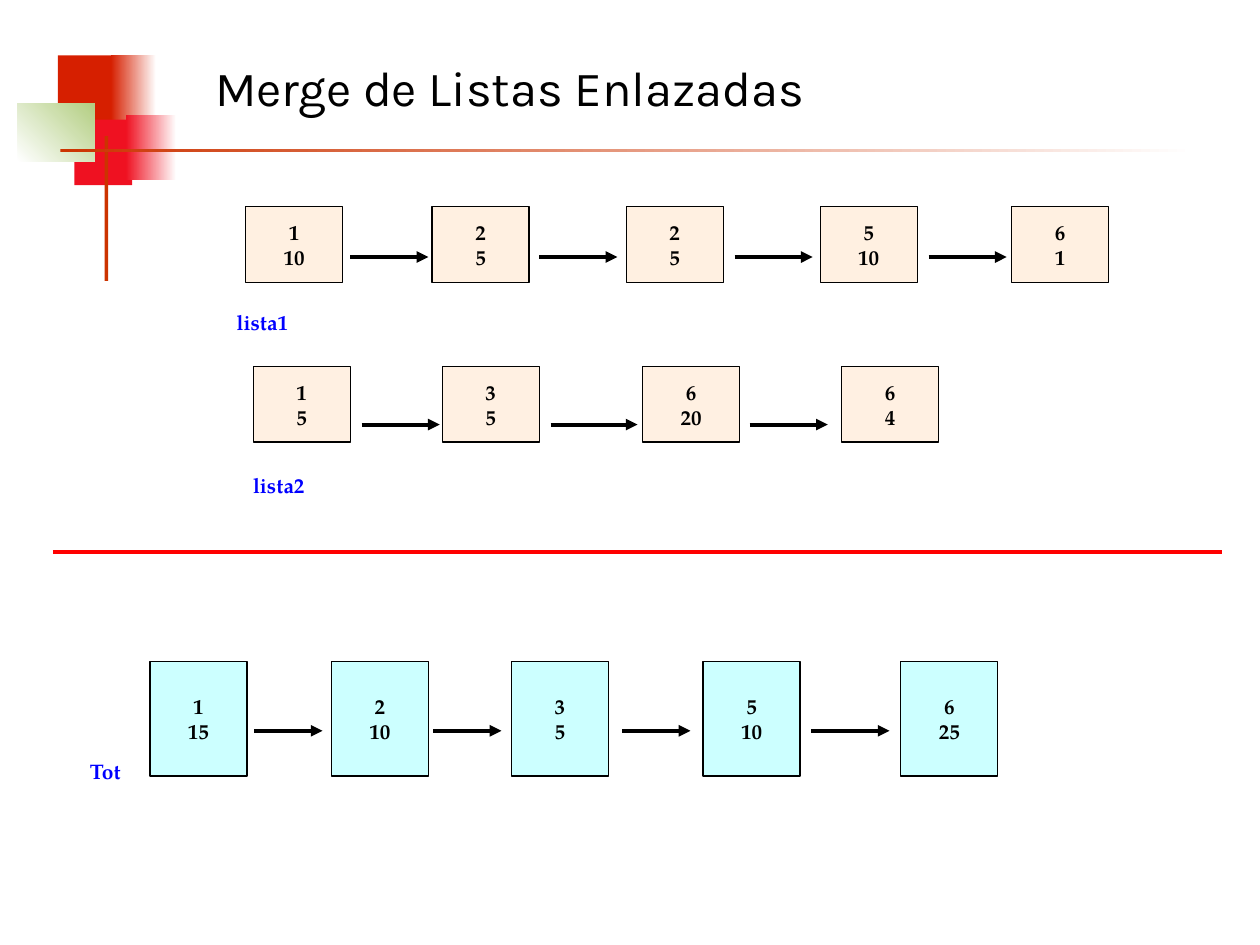
from dataclasses import dataclass

from pptx import Presentation, util as u
from pptx.dml.color import RGBColor
from pptx.enum import shapes, text
from pptx.oxml.ns import qn
from lxml import etree

SERIF = "TeX Gyre Pagella"
BLACK, BLUE, RED, WHITE = "000000", "0000FF", "FF0000", "FFFFFF"
SCARLET, CRIMSON, GREEN, RUST = "D61F00", "EF1121", "B3CE82", "CC3300"
CREAM, CYAN = "FFF0E1", "CCFFFF"
NODE_WIDTH = 0.77


@dataclass
class Block:
    left: float
    top: float
    width: float
    height: float
    colors: tuple[str, ...]
    angle: float = 0


@dataclass
class Node:
    left: float
    key: int
    value: int


@dataclass
class Arrow:
    start: float
    end: float


@dataclass
class LinkedList:
    top: float
    height: float
    fill: str
    arrow_y: float
    nodes: list[Node]
    arrows: list[Arrow]
    opacity: int = 100


@dataclass
class Label:
    words: str
    left: float
    top: float
    width: float
    height: float
    size: int = 12
    font: str = SERIF
    color: str = BLUE
    bold: bool = True
    anchor: text.MSO_ANCHOR = text.MSO_ANCHOR.TOP
    align: text.PP_ALIGN = text.PP_ALIGN.LEFT
    wrap: bool = True


BLOCKS = [
    Block(0.46, 0.44, 0.48, 0.52, (SCARLET,)),
    Block(0.88, 0.44, 0.36, 0.52, (SCARLET, WHITE)),
    Block(0.59, 0.95, 0.46, 0.52, (CRIMSON,)),
    Block(1, 0.91, 0.4, 0.52, (CRIMSON, WHITE)),
    Block(0.14, 0.82, 0.61, 0.46, (WHITE, GREEN), 45),
    Block(0.83, 1.08, 0.03, 1.15, (RUST,)),
    Block(0.48, 1.18, 9, 0.03, (RUST, WHITE)),
]

LISTS = [
    LinkedList(
        1.64, 0.6, CREAM, 2.04,
        [Node(1.95, 1, 10), Node(3.43, 2, 5), Node(4.97, 2, 5), Node(6.51, 5, 10), Node(8.03, 6, 1)],
        [Arrow(2.78, 3.4), Arrow(4.28, 4.9), Arrow(5.83, 6.45), Arrow(7.37, 7.99)],
    ),
    LinkedList(
        2.91, 0.6, CREAM, 3.37,
        [Node(2.01, 1, 5), Node(3.51, 3, 5), Node(5.1, 6, 20), Node(6.68, 6, 4)],
        [Arrow(2.87, 3.49), Arrow(4.37, 5.06), Arrow(5.95, 6.57)],
        opacity=95,
    ),
    LinkedList(
        5.25, 0.91, CYAN, 5.8,
        [Node(1.19, 1, 15), Node(2.63, 2, 10), Node(4.06, 3, 5), Node(5.58, 5, 10), Node(7.15, 6, 25)],
        [Arrow(2.02, 2.56), Arrow(3.44, 3.98), Arrow(4.94, 5.48), Arrow(6.44, 7.06)],
    ),
]

LABELS = [
    Label("Merge de Listas Enlazadas", 1.61, 0.52, 7.87, 0.34, 28, "Karla", BLACK, False,
          text.MSO_ANCHOR.MIDDLE),
    Label("lista1", 1.78, 2.41, 1.08, 0.3),
    Label("lista2", 1.91, 3.7, 1.08, 0.3),
    Label("Tot", 0.6, 5.82, 0.47, 0.6, anchor=text.MSO_ANCHOR.MIDDLE,
          align=text.PP_ALIGN.CENTER, wrap=False),
]


def rgb(code: str) -> RGBColor:
    return RGBColor.from_string(code)


def write(box, words: str, size: int, font: str, color: str, bold: bool, anchor, align, wrap: bool) -> None:
    frame = box.text_frame
    frame.text = words
    frame.word_wrap = wrap
    frame.vertical_anchor = anchor
    for para in frame.paragraphs:
        para.alignment = align
        for span in para.runs:
            span.font.size = u.Pt(size)
            span.font.name = font
            span.font.bold = bold
            span.font.color.rgb = rgb(color)


def add_rectangle(page, left: float, top: float, width: float, height: float):
    box = page.shapes.add_shape(
        shapes.MSO_SHAPE.RECTANGLE, u.Inches(left), u.Inches(top), u.Inches(width), u.Inches(height)
    )
    box.shadow.inherit = False
    return box


def add_block(page, block: Block) -> None:
    box = add_rectangle(page, block.left, block.top, block.width, block.height)
    box.line.fill.background()
    if len(block.colors) == 1:
        box.fill.solid()
        box.fill.fore_color.rgb = rgb(block.colors[0])
        return
    box.fill.gradient()
    box.fill.gradient_angle = block.angle
    for position, (stop, color) in enumerate(zip(box.fill.gradient_stops, block.colors)):
        stop.position = position
        stop.color.rgb = rgb(color)


def add_label(page, label: Label) -> None:
    box = page.shapes.add_textbox(
        u.Inches(label.left), u.Inches(label.top), u.Inches(label.width), u.Inches(label.height)
    )
    write(box, label.words, label.size, label.font, label.color, label.bold,
          label.anchor, label.align, label.wrap)


def add_node(page, node: Node, chain: LinkedList) -> None:
    box = add_rectangle(page, node.left, chain.top, NODE_WIDTH, chain.height)
    box.fill.solid()
    box.fill.fore_color.rgb = rgb(chain.fill)
    if chain.opacity < 100:
        color = box.element.spPr.find(qn("a:solidFill")).find(qn("a:srgbClr"))
        etree.SubElement(color, qn("a:alpha"), val=str(chain.opacity * 1000))
    box.line.color.rgb = rgb(BLACK)
    box.line.width = u.Pt(0.75)
    write(box, f"{node.key}\n{node.value}", 12, SERIF, BLACK, True,
          text.MSO_ANCHOR.MIDDLE, text.PP_ALIGN.CENTER, False)


def add_line(page, start: float, end: float, y: float, color: str, arrow: bool = False) -> None:
    line = page.shapes.add_connector(
        shapes.MSO_CONNECTOR.STRAIGHT, u.Inches(start), u.Inches(y), u.Inches(end), u.Inches(y)
    )
    line.line.color.rgb = rgb(color)
    line.line.width = u.Pt(2.25)
    properties = line.element.spPr
    if arrow:
        etree.SubElement(properties.find(qn("a:ln")), qn("a:tailEnd"), type="triangle")
    etree.SubElement(properties, qn("a:effectLst"))


def add_list(page, chain: LinkedList) -> None:
    for node in chain.nodes:
        add_node(page, node, chain)
    for arrow in chain.arrows:
        add_line(page, arrow.start, arrow.end, chain.arrow_y, BLACK, arrow=True)


def main() -> None:
    deck = Presentation()
    deck.slide_width, deck.slide_height = u.Inches(10), u.Inches(7.5)
    page = deck.slides.add_slide(deck.slide_layouts[6])
    for block in BLOCKS:
        add_block(page, block)
    for chain in LISTS:
        add_list(page, chain)
    for label in LABELS:
        add_label(page, label)
    add_line(page, 0.42, 9.7, 4.38, RED)
    deck.save("out.pptx")


if __name__ == "__main__":
    main()
